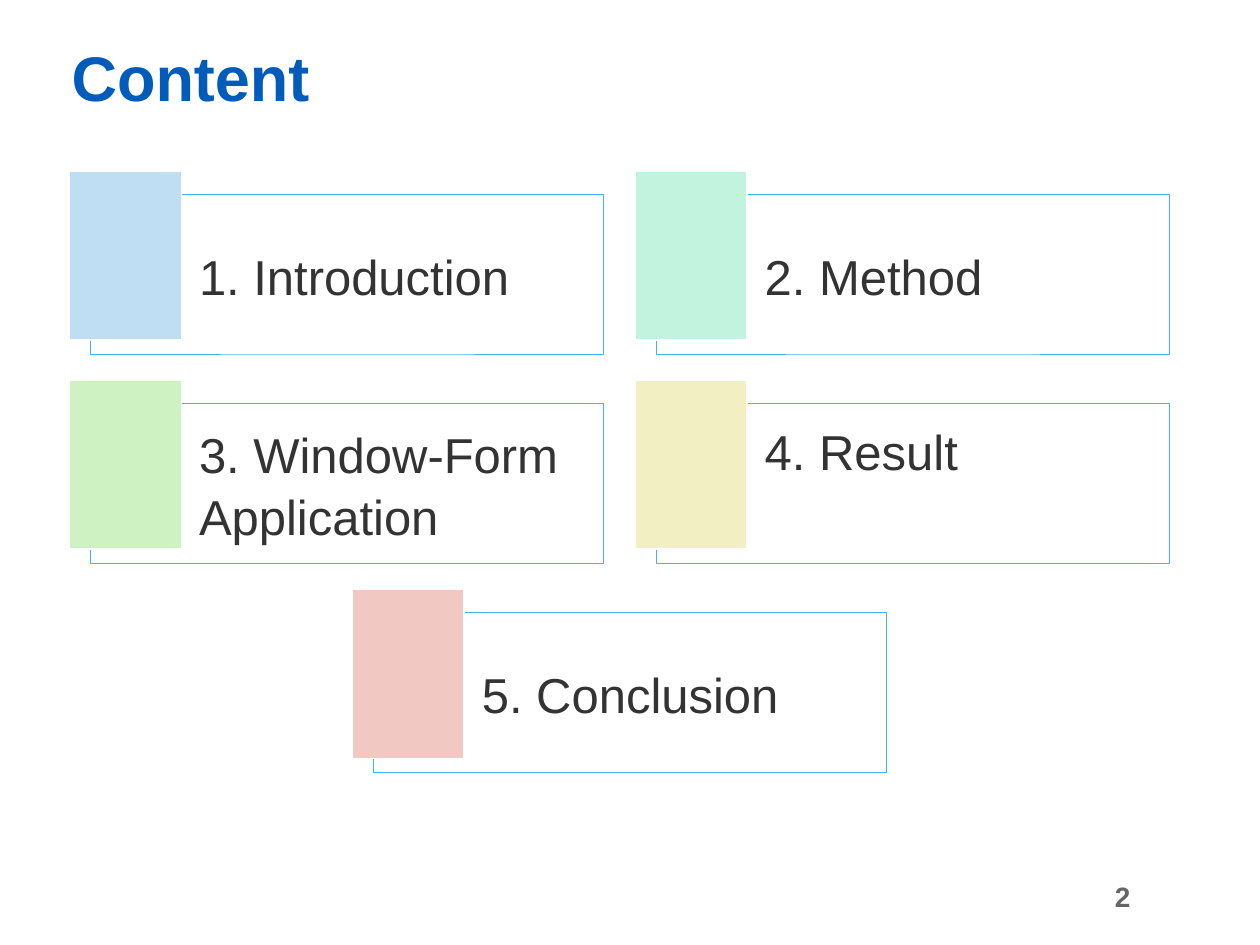
from pptx import Presentation
from pptx.dml.color import RGBColor
from pptx.enum.shapes import MSO_SHAPE as Shape
from pptx.enum.text import MSO_ANCHOR as Anchor, PP_ALIGN as Align
from pptx.util import Inches, Pt


def color(hex_code):
    return RGBColor.from_string(hex_code)


def write(box, text, size, hex_code, bold=False, align=Align.LEFT,
          anchor=Anchor.MIDDLE, spacing=None):
    frame = box.text_frame
    frame.word_wrap = True
    frame.vertical_anchor = anchor
    para = frame.paragraphs[0]
    para.alignment = align
    para.line_spacing = spacing
    span = para.add_run()
    span.text = text
    span.font.name = "Arial"
    span.font.size = Pt(size)
    span.font.bold = bold
    span.font.color.rgb = color(hex_code)


deck = Presentation()
deck.slide_width, deck.slide_height = Inches(10), Inches(7.5)
page = deck.slides.add_slide(deck.slide_layouts[6])

# Page number and title
number = page.shapes.add_textbox(Inches(5.69), Inches(6.91), Inches(3.38), Inches(0.4))
write(number, "2", 16, "666666", bold=True, align=Align.RIGHT)
title = page.shapes.add_textbox(Inches(0.47), Inches(0.31), Inches(7.75), Inches(0.65))
write(title, "Content", 36, "005BBB", bold=True, anchor=Anchor.BOTTOM, spacing=0.9)

# Grid of chapters: column (halves centre the last one), row, label, tab colour, anchor
LEFT, TOP = 0.55, 1.36
COLUMN, ROW = 4.49, 1.66
chapters = [
    (0, 0, "1. Introduction", "C0DEF3", Anchor.MIDDLE),
    (1, 0, "2. Method", "C1F3DE", Anchor.MIDDLE),
    (0, 1, "3. Window-Form Application", "CEF2C2", Anchor.MIDDLE),
    (1, 1, "4. Result", "F2EFC2", Anchor.TOP),
    (0.5, 2, "5. Conclusion", "F2C8C3", Anchor.MIDDLE),
]
for column, row, label, tab_color, anchor in chapters:
    x, y = LEFT + column * COLUMN, TOP + row * ROW
    card = page.shapes.add_shape(
        Shape.RECTANGLE, Inches(x + 0.17), Inches(y + 0.18), Inches(4.07), Inches(1.27))
    tab = page.shapes.add_shape(
        Shape.RECTANGLE, Inches(x), Inches(y), Inches(0.89), Inches(1.34))
    for box, fill, line, width in ((card, "FFFFFF", "41B6E6", 0.5),
                                   (tab, tab_color, "FFFFFF", 1)):
        box.shadow.inherit = False
        box.fill.solid()
        box.fill.fore_color.rgb = color(fill)
        box.line.color.rgb = color(line)
        box.line.width = Pt(width)
    frame = card.text_frame
    frame.margin_left = Inches(0.86)
    frame.margin_top = frame.margin_right = frame.margin_bottom = Inches(0.12)
    write(card, label, 28, "333333", anchor=anchor, spacing=1.05)

deck.save("out.pptx")
